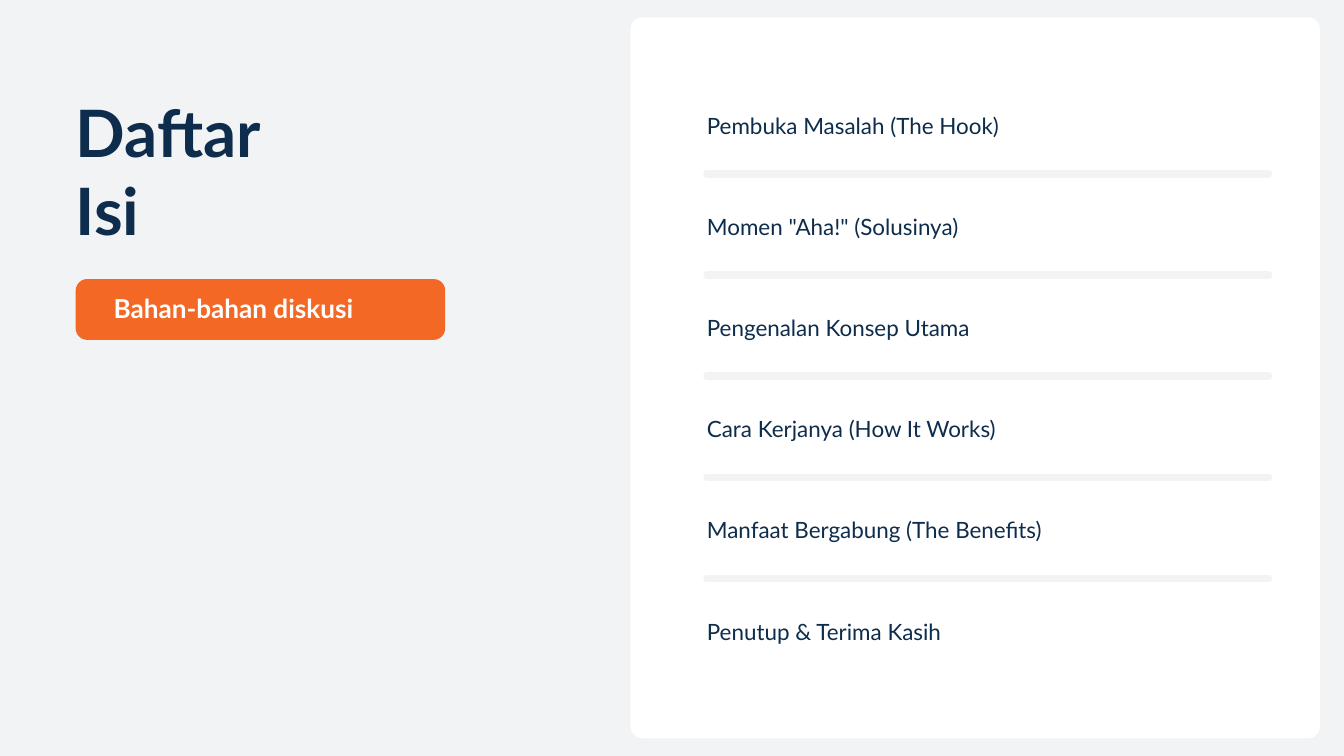
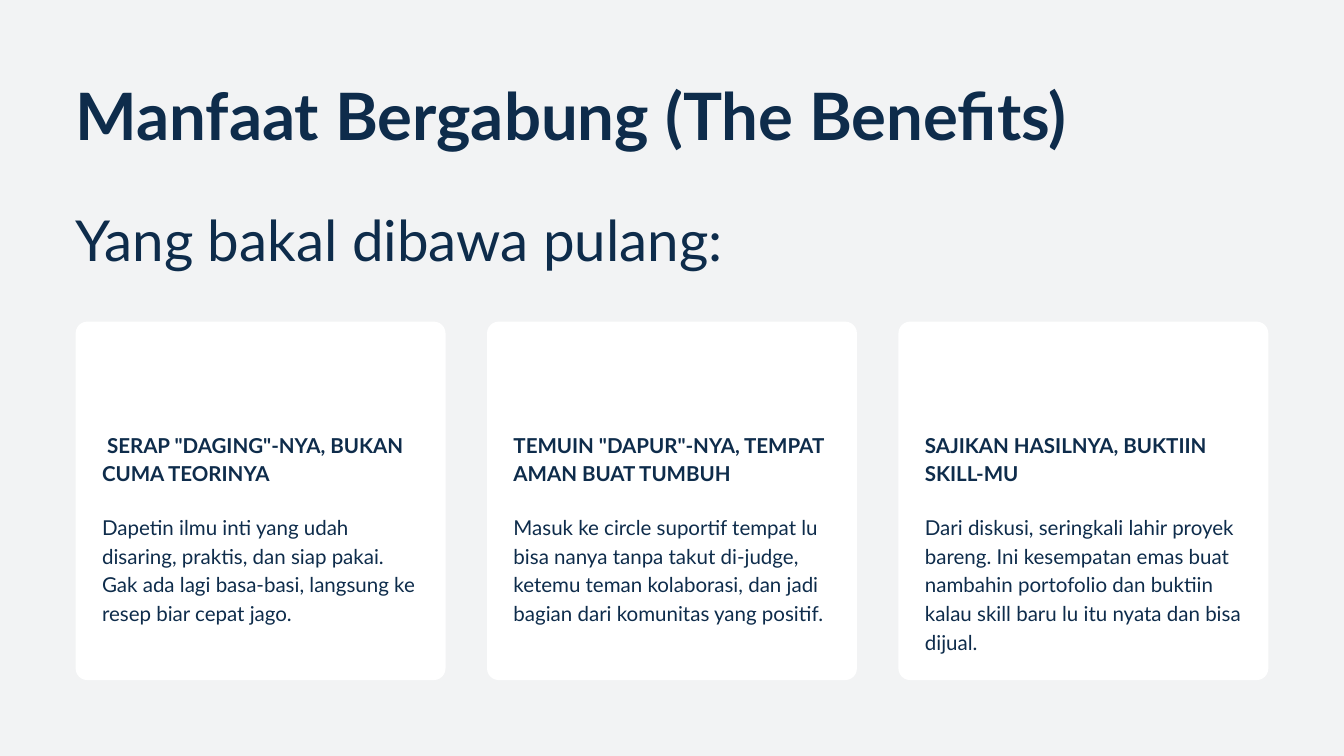
from dataclasses import dataclass

from lxml import etree
from pptx import Presentation
from pptx.dml.color import RGBColor
from pptx.enum.shapes import MSO_CONNECTOR, MSO_SHAPE
from pptx.enum.text import MSO_ANCHOR, MSO_AUTO_SIZE, PP_ALIGN
from pptx.oxml.ns import qn
from pptx.util import Cm, Pt

ROUNDED = MSO_SHAPE.ROUNDED_RECTANGLE
STRAIGHT = MSO_CONNECTOR.STRAIGHT
TOP = MSO_ANCHOR.TOP
NO_FIT = MSO_AUTO_SIZE.NONE
LEFT = PP_ALIGN.LEFT
TITLE_ONLY = 5


@dataclass(frozen=True)
class Theme:
    font: str = "Lato"
    background: str = "F2F3F4"
    panel: str = "FFFFFF"
    ink: str = "0E2C4B"
    accent: str = "F36825"
    title: float = 70
    subtitle: float = 60.5
    badge: float = 28
    item: float = 24
    body: float = 22
    rule: float = 8


THEME = Theme()
MARGIN = 2.86
CONTENT_W = 45.08
CORNER = 0.44

AGENDA = [
    "Pembuka Masalah (The Hook)",
    'Momen "Aha!" (Solusinya)',
    "Pengenalan Konsep Utama",
    "Cara Kerjanya (How It Works)",
    "Manfaat Bergabung (The Benefits)",
    "Penutup & Terima Kasih",
]
BENEFITS = [
    (' SERAP "DAGING"-NYA, BUKAN CUMA TEORINYA',
     "Dapetin ilmu inti yang udah disaring, praktis, dan siap pakai. "
     "Gak ada lagi basa-basi, langsung ke resep biar cepat jago."),
    ('TEMUIN "DAPUR"-NYA, TEMPAT AMAN BUAT TUMBUH',
     "Masuk ke circle suportif tempat lu bisa nanya tanpa takut di-judge, "
     "ketemu teman kolaborasi, dan jadi bagian dari komunitas yang positif."),
    ("SAJIKAN HASILNYA, BUKTIIN SKILL-MU",
     "Dari diskusi, seringkali lahir proyek bareng. Ini kesempatan emas buat "
     "nambahin portofolio dan buktiin kalau skill baru lu itu nyata dan bisa dijual."),
]


def color(value):
    return RGBColor.from_string(value)


def cm_box(*lengths):
    return [Cm(length) for length in lengths]


def write(tf, text, *, size, leading, ink=THEME.ink, bold=False):
    """Fill a text frame, one paragraph per line of text."""
    tf.margin_left = tf.margin_top = tf.margin_right = tf.margin_bottom = 0
    tf.word_wrap = True
    tf.auto_size = NO_FIT
    tf.vertical_anchor = TOP
    for i, line in enumerate(text.split("\n")):
        p = tf.add_paragraph() if i else tf.paragraphs[0]
        p.alignment = LEFT
        p.line_spacing = Pt(leading)
        p.space_before = Pt(0)
        r = p.add_run()
        r.text = line
        r.font.name = THEME.font
        r.font.size = Pt(size)
        r.font.bold = bold
        r.font.color.rgb = color(ink)


def add_text(slide, box, text, **style):
    write(slide.shapes.add_textbox(*cm_box(*box)).text_frame, text, **style)


def add_panel(slide, box, fill=THEME.panel):
    sp = slide.shapes.add_shape(ROUNDED, *cm_box(*box))
    sp.adjustments[0] = CORNER / min(box[2:])
    sp.shadow.inherit = False
    sp.fill.solid()
    sp.fill.fore_color.rgb = color(fill)
    sp.line.fill.background()


def add_rule(slide, x, y, width):
    """Draw a horizontal divider with round ends."""
    rule = slide.shapes.add_connector(STRAIGHT, *cm_box(x, y, x + width, y))
    rule.line.color.rgb = color(THEME.background)
    rule.line.width = Pt(THEME.rule)
    rule.line._get_or_add_ln().set("cap", "rnd")
    etree.SubElement(rule._element.spPr, qn("a:effectLst"))


def add_titled_slide(prs, title, box):
    slide = prs.slides.add_slide(prs.slide_layouts[TITLE_ONLY])
    sp = slide.shapes.title
    sp.left, sp.top, sp.width, sp.height = cm_box(*box)
    write(sp.text_frame, title, size=THEME.title, leading=84, bold=True)
    return slide


def add_badge(slide, box, text):
    x, y, w, h = box
    add_panel(slide, box, THEME.accent)
    add_text(slide, (x + 1.44, y + 0.5, w - 2.34, 1.17), text,
             size=THEME.badge, leading=33.6, ink=THEME.panel, bold=True)


def add_agenda(slide, box, items):
    x, y, w, h = box
    pitch = 3.825
    left, first = x + 2.89, y + 3.4
    add_panel(slide, box)
    for i, item in enumerate(items):
        top = first + i * pitch
        add_text(slide, (left, top, 19.05, 1.09), item,
                 size=THEME.item, leading=33.6)
        if i < len(items) - 1:
            add_rule(slide, left, top + 2.51, 21.23)


def add_card(slide, box, heading, body):
    x, y, w, h = box
    inner_x, inner_w = x + 1, w - 2.01
    add_panel(slide, box)
    add_text(slide, (inner_x, y + 4.04, inner_w, 2.06), heading,
             size=THEME.body, leading=30.8, bold=True)
    add_text(slide, (inner_x, y + 7.15, inner_w, 5.36), body,
             size=THEME.body, leading=30.8)


def add_card_row(slide, box, cards, gap=1.57):
    x, y, w, h = box
    card_w = (w - gap * (len(cards) - 1)) / len(cards)
    for i, (heading, body) in enumerate(cards):
        add_card(slide, (x + i * (card_w + gap), y, card_w, h), heading, body)


def build_agenda_slide(prs):
    slide = add_titled_slide(prs, "Daftar\nIsi", (MARGIN, 3.48, 17.15, 5.92))
    add_agenda(slide, (23.83, 0.66, 26.06, 27.25), AGENDA)
    add_badge(slide, (MARGIN, 10.55, 13.97, 2.3), "Bahan-bahan diskusi")


def build_benefits_slide(prs):
    slide = add_titled_slide(prs, "Manfaat Bergabung (The Benefits)",
                             (MARGIN, 2.86, 44.07, 2.95))
    add_text(slide, (MARGIN, 7.75, 38.1, 2.51), "Yang bakal dibawa pulang:",
             size=THEME.subtitle, leading=72.6)
    add_card_row(slide, (MARGIN, 12.16, CONTENT_W, 13.55), BENEFITS)


def main():
    prs = Presentation()
    prs.slide_width, prs.slide_height = cm_box(50.8, 28.58)
    fill = prs.slide_master.background.fill
    fill.solid()
    fill.fore_color.rgb = color(THEME.background)
    build_agenda_slide(prs)
    build_benefits_slide(prs)
    prs.save("out.pptx")


if __name__ == "__main__":
    main()
